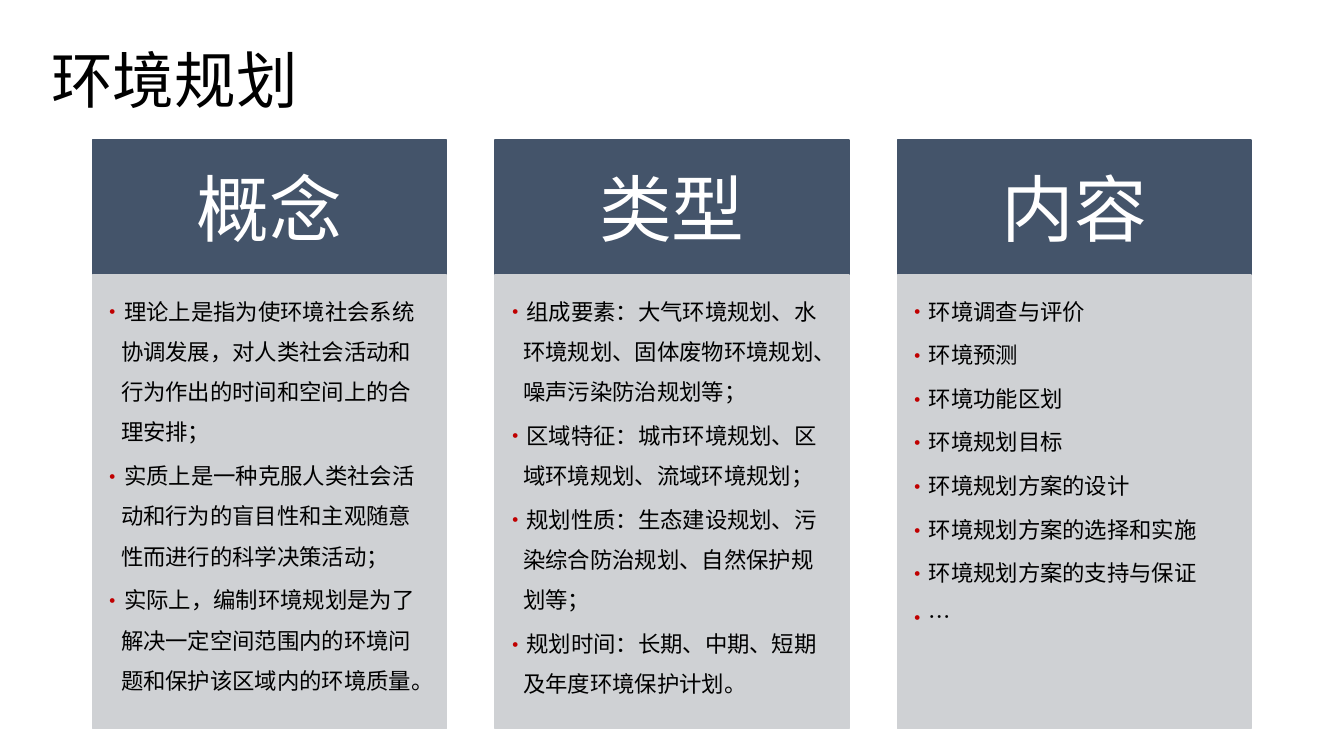
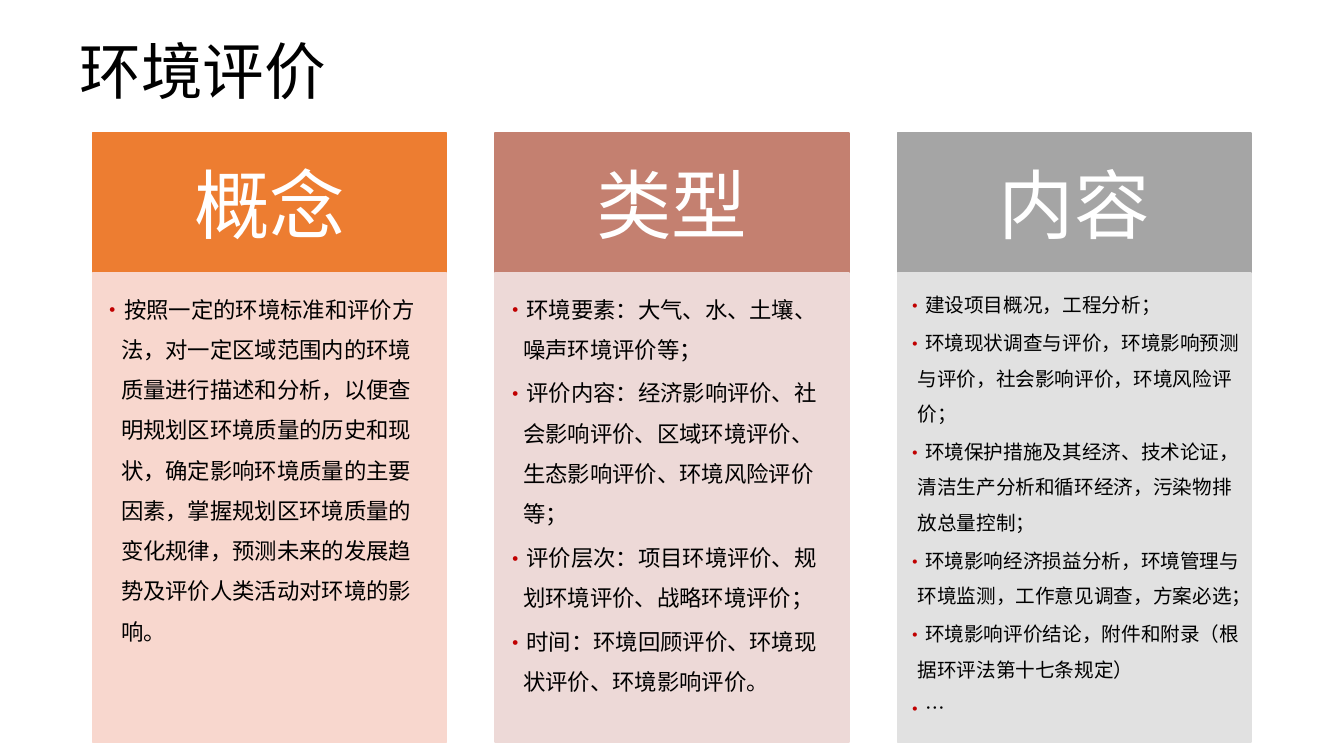
from dataclasses import dataclass

from lxml import etree
from pptx import Presentation
from pptx.dml.color import RGBColor
from pptx.enum import shapes, text
from pptx.oxml.ns import qn
from pptx.util import Inches, Pt


@dataclass(frozen=True)
class Theme:
    font: str = "Noto Sans CJK SC"
    ink: str = "000000"
    light: str = "FFFFFF"
    bullet: str = "C00000"
    title_size: int = 44
    body_size: int = 16
    small_size: int = 14


T = Theme()
LEFT, COLUMN_WIDTH, PITCH = 0.92, 3.51, 3.99

# Body text styles: size, insets (left, top, right, bottom), hanging indent
NORMAL = (T.body_size, (0.09, 0.09, 0.14, 0.14), 0.19)
SMALL = (T.small_size, (0.08, 0.08, 0.11, 0.12), 0.12)

SLIDES = [
    {
        "title": "环境规划", "title_at": (0.41, 0.24),
        "top": 1.39, "head_height": 1.34, "body_height": 4.5,
        "head_size": 52, "head_insets": (0.4, 0.23, 0.4, 0.23),
        "columns": [
            ("概念", "44546A", "CFD1D4", NORMAL, [
                "理论上是指为使环境社会系统协调发展，对人类社会活动和行为作出的时间和空间上的合理安排；",
                "实质上是一种克服人类社会活动和行为的盲目性和主观随意性而进行的科学决策活动；",
                "实际上，编制环境规划是为了解决一定空间范围内的环境问题和保护该区域内的环境质量。",
            ]),
            ("类型", "44546A", "CFD1D4", NORMAL, [
                "组成要素：大气环境规划、水环境规划、固体废物环境规划、噪声污染防治规划等；",
                "区域特征：城市环境规划、区域环境规划、流域环境规划；",
                "规划性质：生态建设规划、污染综合防治规划、自然保护规划等；",
                "规划时间：长期、中期、短期及年度环境保护计划。",
            ]),
            ("内容", "44546A", "CFD1D4", NORMAL, [
                "环境调查与评价",
                "环境预测",
                "环境功能区划",
                "环境规划目标",
                "环境规划方案的设计",
                "环境规划方案的选择和实施",
                "环境规划方案的支持与保证",
                "…",
            ]),
        ],
    },
    {
        "title": "环境评价", "title_at": (0.69, 0.15),
        "top": 1.32, "head_height": 1.39, "body_height": 4.65,
        "head_size": 54, "head_insets": (0.42, 0.24, 0.42, 0.24),
        "columns": [
            ("概念", "ED7D31", "F8D7CE", NORMAL, [
                "按照一定的环境标准和评价方法，对一定区域范围内的环境质量进行描述和分析，"
                "以便查明规划区环境质量的历史和现状，确定影响环境质量的主要因素，"
                "掌握规划区环境质量的变化规律，预测未来的发展趋势及评价人类活动对环境的影响。",
            ]),
            ("类型", "C48070", "EDD9D7", NORMAL, [
                "环境要素：大气、水、土壤、噪声环境评价等；",
                "评价内容：经济影响评价、社会影响评价、区域环境评价、生态影响评价、环境风险评价等；",
                "评价层次：项目环境评价、规划环境评价、战略环境评价；",
                "时间：环境回顾评价、环境现状评价、环境影响评价。",
            ]),
            ("内容", "A5A5A5", "E1E1E1", SMALL, [
                "建设项目概况，工程分析；",
                "环境现状调查与评价，环境影响预测与评价，社会影响评价，环境风险评价；",
                "环境保护措施及其经济、技术论证，清洁生产分析和循环经济，污染物排放总量控制；",
                "环境影响经济损益分析，环境管理与环境监测，工作意见调查，方案必选；",
                "环境影响评价结论，附件和附录（根据环评法第十七条规定）",
                "…",
            ]),
        ],
    },
]


def setup_frame(tf, insets, anchor):
    tf.word_wrap = True
    tf.vertical_anchor = anchor
    for side, inset in zip(("left", "top", "right", "bottom"), insets):
        setattr(tf, f"margin_{side}", Inches(inset))


def add_run(p, words, size, color):
    r = p.add_run()
    r.text = words
    for name, value in {"name": T.font, "size": Pt(size)}.items():
        setattr(r.font, name, value)
    r.font.color.rgb = RGBColor.from_string(color)
    props = r.font._element
    props.set("lang", "zh-CN")
    east_asian = etree.Element(qn("a:ea"), typeface=T.font)
    props.find(qn("a:latin")).addnext(east_asian)


def add_bullet(p, indent):
    props = p._p.get_or_add_pPr()
    props.set("marL", str(Inches(indent)))
    props.set("indent", str(-Inches(indent)))
    color = etree.SubElement(props, qn("a:buClr"))
    etree.SubElement(color, qn("a:srgbClr"), val=T.bullet)
    etree.SubElement(props, qn("a:buFont"), typeface=T.font)
    etree.SubElement(props, qn("a:buChar"), char="•")


def add_panel(s, box, color):
    panel = s.shapes.add_shape(shapes.MSO_SHAPE.RECTANGLE, *map(Inches, box))
    panel.shadow.inherit = False
    panel.line.width = Pt(1)
    for fill in (panel.fill, panel.line.fill):
        fill.solid()
        fill.fore_color.rgb = RGBColor.from_string(color)
    return panel.text_frame


def add_title(s, words, position):
    tf = s.shapes.add_textbox(*map(Inches, (*position, 11.5, 1.17))).text_frame
    setup_frame(tf, (0.1, 0.05, 0.1, 0.05), text.MSO_ANCHOR.MIDDLE)
    p = tf.paragraphs[0]
    p.line_spacing = 0.9
    add_run(p, words, T.title_size, T.ink)


def add_heading(s, box, color, words, size, insets):
    tf = add_panel(s, box, color)
    setup_frame(tf, insets, text.MSO_ANCHOR.MIDDLE)
    p = tf.paragraphs[0]
    p.alignment = text.PP_ALIGN.CENTER
    add_run(p, words, size, T.light)


def add_body(s, box, color, style, items):
    size, insets, indent = style
    tf = add_panel(s, box, color)
    setup_frame(tf, insets, text.MSO_ANCHOR.TOP)
    for i, item in enumerate(items):
        p = tf.add_paragraph() if i else tf.paragraphs[0]
        add_bullet(p, indent)
        p.alignment = text.PP_ALIGN.LEFT
        p.line_spacing = 1.5
        p.space_after = Pt(size * 0.15)
        add_run(p, item, size, T.ink)


def add_slide(prs, content):
    s = prs.slides.add_slide(prs.slide_layouts[6])
    add_title(s, content["title"], content["title_at"])
    top, head_height = content["top"], content["head_height"]
    for i, (heading, dark, pale, style, items) in enumerate(content["columns"]):
        x = LEFT + i * PITCH
        add_heading(s, (x, top, COLUMN_WIDTH, head_height), dark, heading,
                    content["head_size"], content["head_insets"])
        add_body(s, (x, top + head_height, COLUMN_WIDTH, content["body_height"]),
                 pale, style, items)


def main():
    prs = Presentation()
    prs.slide_width, prs.slide_height = Inches(13.33), Inches(7.5)
    for content in SLIDES:
        add_slide(prs, content)
    prs.save("out.pptx")


if __name__ == "__main__":
    main()
